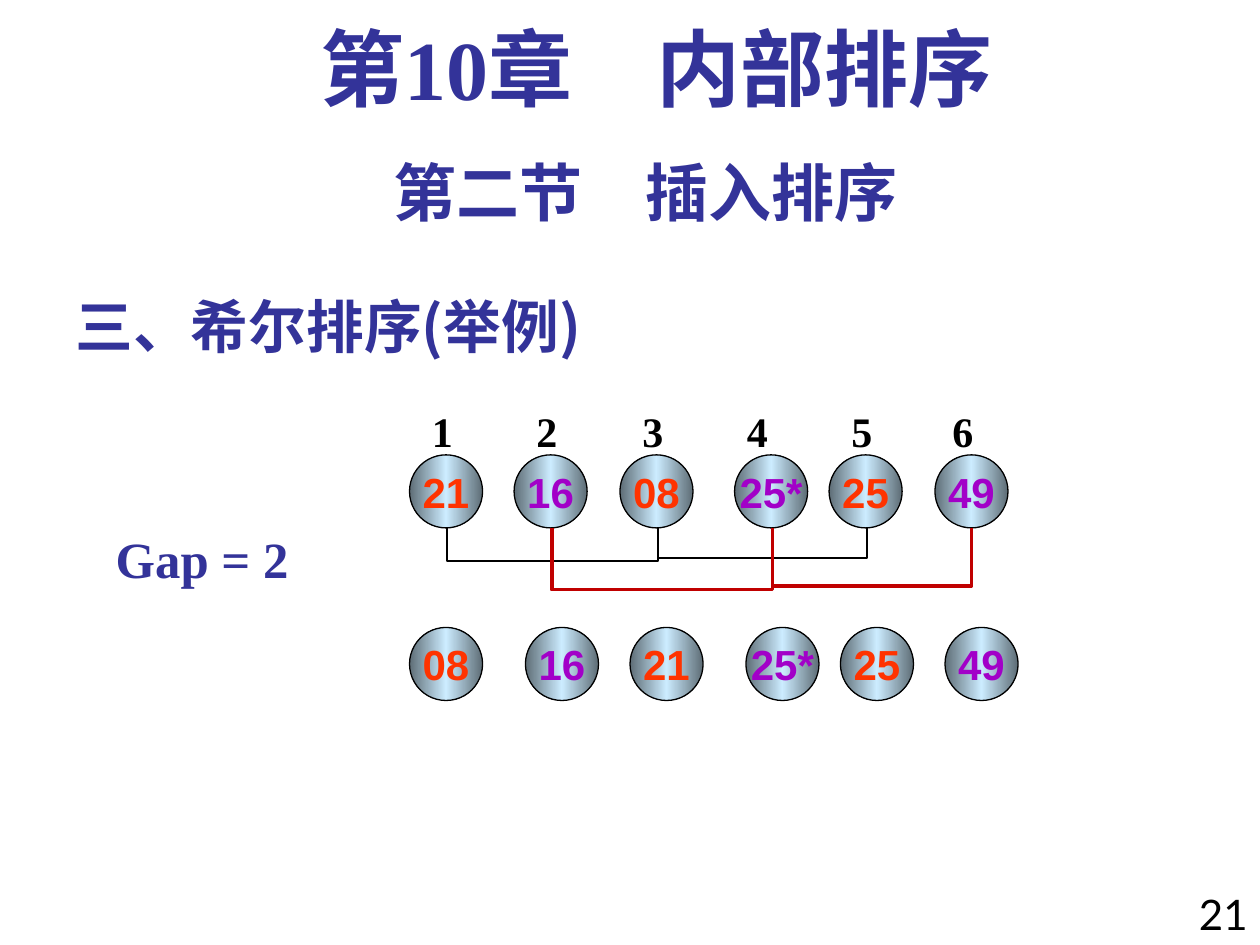
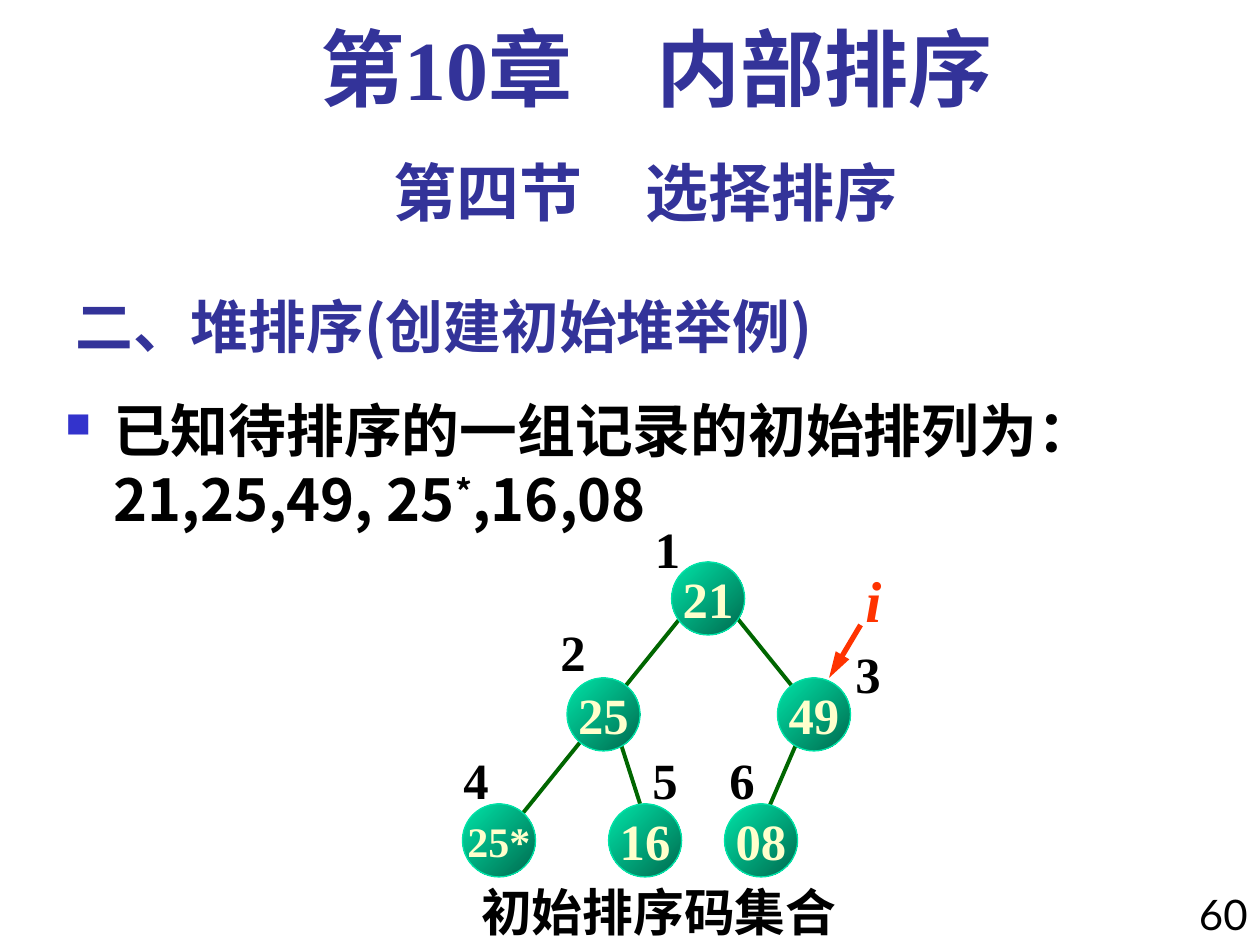
from copy import deepcopy
from dataclasses import dataclass

from lxml.etree import SubElement
from pptx import Presentation
from pptx.dml.color import RGBColor
from pptx.enum.shapes import MSO_CONNECTOR, MSO_SHAPE
from pptx.enum.text import MSO_ANCHOR, MSO_AUTO_SIZE, PP_ALIGN
from pptx.oxml.ns import qn
from pptx.util import Inches, Pt


@dataclass(frozen=True)
class Theme:
    # Colours
    heading: str = "333399"
    ink: str = "000000"
    bullet: str = "3333CC"
    odd: str = "FF3300"
    even: str = "A200C8"
    bracket: str = "C00000"
    steel: tuple = ("5E6D76", "CCECFF", "5E6D76")
    green: tuple = ("00E4A8", "006A4E")
    node_text: str = "FFFFCC"
    edge: str = "006600"
    # Fonts
    chinese: str = "Noto Sans CJK SC"
    serif: str = "Times New Roman"
    sans: str = "Arial"
    plain: str = "Lato"
    # Type sizes
    chapter: int = 48
    section: int = 36
    topic: int = 33
    label: int = 29
    small: int = 24


THEME = Theme()
DIAMETER = 0.58


@dataclass(frozen=True)
class Box:
    left: float
    top: float
    width: float
    height: float

    def inner(self, x, y, width=0.4, height=DIAMETER):
        return Box(self.left + x, self.top + y, width, height)

    def point(self, x, y):
        return Inches(self.left + x), Inches(self.top + y)

    def frame(self):
        return [Inches(n) for n in (self.left, self.top, self.width, self.height)]


def color(value):
    return RGBColor.from_string(value)


def style_runs(para, size, font, ink, bold=True, italic=False):
    for run in para.runs:
        run.font.size = Pt(size)
        run.font.bold = bold
        run.font.italic = italic
        run.font.color.rgb = color(ink)
        run.font.name = font
        east_asian = SubElement(run.font._element, qn("a:ea"))
        east_asian.set("typeface", THEME.chinese)


def add_text(page, box, text, size, font=THEME.serif, ink=THEME.ink,
             align=PP_ALIGN.LEFT, wrap=True, **look):
    frame = page.shapes.add_textbox(*box.frame()).text_frame
    frame.word_wrap = wrap
    if not wrap:
        frame.auto_size = MSO_AUTO_SIZE.SHAPE_TO_FIT_TEXT
    frame.text = text
    para = frame.paragraphs[0]
    para.alignment = align
    style_runs(para, size, font, ink, **look)
    return frame


def add_ball(page, box, text, stops, angle, outline, size, font, ink):
    ball = page.shapes.add_shape(MSO_SHAPE.OVAL, *box.frame())
    ball.shadow.inherit = False
    ball.fill.gradient()
    ball.fill.gradient_angle = angle
    stop_list = ball._element.spPr.find(qn("a:gradFill")).find(qn("a:gsLst"))
    for _ in stops[2:]:
        stop_list.append(deepcopy(stop_list[0]))
    for index, (stop, value) in enumerate(zip(ball.fill.gradient_stops, stops)):
        stop.color.rgb = color(value)
        stop.position = index / (len(stops) - 1)
    ball.line.color.rgb = color(outline)
    ball.line.width = Pt(0.75)
    frame = ball.text_frame
    frame.word_wrap = False
    frame.vertical_anchor = MSO_ANCHOR.MIDDLE
    frame.text = text
    frame.paragraphs[0].alignment = PP_ALIGN.CENTER
    style_runs(frame.paragraphs[0], size, font, ink)


def add_line(page, start, end, ink, width, arrow=False):
    line = page.shapes.add_connector(MSO_CONNECTOR.STRAIGHT, *start, *end)
    line.line.color.rgb = color(ink)
    line.line.width = Pt(width)
    properties = line._element.spPr
    if arrow:
        tip = SubElement(properties.find(qn("a:ln")), qn("a:tailEnd"))
        for key, value in (("type", "triangle"), ("w", "med"), ("len", "lg")):
            tip.set(key, value)
    SubElement(properties, qn("a:effectLst"))


def add_bracket(page, points, ink, width):
    builder = page.shapes.build_freeform(*points[0])
    builder.add_line_segments(points[1:], close=False)
    bracket = builder.convert_to_shape()
    bracket.shadow.inherit = False
    bracket.fill.background()
    bracket.line.color.rgb = color(ink)
    bracket.line.width = Pt(width)


def add_page(deck, section, topic, number):
    page = deck.slides.add_slide(deck.slide_layouts[6])
    # Chapter, section and topic headings
    chapter = add_text(page, Box(0.67, 0.17, 9.08, 0.83), "第10章　内部排序",
                       THEME.chapter, ink=THEME.heading, align=PP_ALIGN.CENTER)
    chapter.paragraphs[0].line_spacing = 0.9
    add_text(page, Box(0.5, 1.17, 9.25, 0.7), section, THEME.section,
             THEME.plain, THEME.heading, PP_ALIGN.CENTER)
    heading = add_text(page, Box(0.5, 2.17, 6.25, 0.74), topic, THEME.topic,
                       THEME.chinese, THEME.heading)
    heading.vertical_anchor = MSO_ANCHOR.BOTTOM
    # Page number
    add_text(page, Box(9.33, 7, 0.67, 0.58), number, THEME.small,
             THEME.plain, align=PP_ALIGN.RIGHT, bold=False)
    return page


def add_record_row(page, box, records, lefts):
    for index, (record, left) in enumerate(zip(records, lefts)):
        add_ball(page, box.inner(left, 0, DIAMETER), record, THEME.steel, 0,
                 THEME.ink, THEME.small, THEME.sans,
                 THEME.even if index % 2 else THEME.odd)


def add_shell_pass(page, box):
    # Position numbers, spaced with tab stops
    numbers = add_text(page, box.inner(0.08, 0, 4.8, 0.5), "1\t2\t3\t4\t5\t6",
                       THEME.small)
    tabs = SubElement(numbers.paragraphs[0]._p.get_or_add_pPr(), qn("a:tabLst"))
    for stop in (0.83, 1.67, 2.5, 3.33, 4.13):
        tab = SubElement(tabs, qn("a:tab"))
        tab.set("pos", str(Inches(stop)))
        tab.set("algn", "l")
    # Records before and after the pass
    add_record_row(page, box.inner(0, 0.44), ("21", "16", "08", "25*", "25", "49"),
                   (0, 0.83, 1.67, 2.58, 3.33, 4.17))
    add_record_row(page, box.inner(0, 1.81), ("08", "16", "21", "25*", "25", "49"),
                   (0, 0.92, 1.75, 2.67, 3.42, 4.25))
    # Brackets join the records that are compared
    top = 1.02
    for first, middle, last, low, high, ink, width in (
            (0.3, 1.97, 3.63, 1.28, 1.26, THEME.ink, 1),
            (1.13, 2.88, 4.46, 1.51, 1.48, THEME.bracket, 2)):
        for start, end, depth in ((first, middle, low), (middle, last, high)):
            corners = ((start, top), (start, depth), (end, depth), (end, top))
            if start == middle:
                corners = corners[1:]
            add_bracket(page, [box.point(*corner) for corner in corners], ink, width)


def add_record_list(page, box):
    frame = add_text(page, box, "", THEME.topic)
    para = frame.paragraphs[0]
    properties = para._p.get_or_add_pPr()
    properties.set("marL", str(Inches(0.38)))
    properties.set("indent", str(-Inches(0.38)))
    bullet_color = SubElement(properties, qn("a:buClr"))
    SubElement(bullet_color, qn("a:srgbClr")).set("val", THEME.bullet)
    SubElement(properties, qn("a:buSzPct")).set("val", "60000")
    SubElement(properties, qn("a:buChar")).set("char", "■")
    for text in ("已知待排序的一组记录的初始排列为：21,25,49, 25", "*", ",16,08"):
        para.add_run().text = text
    style_runs(para, THEME.topic, THEME.chinese, THEME.ink)
    para.runs[1].font._element.set("baseline", "30000")


def add_heap_tree(page, box):
    # Branches
    for x1, y1, x2, y2 in ((2.83, 1.88, 2.58, 2.46), (1.42, 1.88, 1.58, 2.38),
                           (2.33, 0.88, 3, 1.71), (1.92, 0.88, 0.58, 2.54)):
        add_line(page, box.point(x1, y1), box.point(x2, y2), THEME.edge, 2.25)
    # Nodes, each with its number in level order
    nodes = (
        ("21", (1.83, 0.46), (1.6, 0.06)),
        ("25", (1, 1.38), (0.85, 0.88)),
        ("49", (2.67, 1.38), (3.19, 1.05)),
        ("25*", (0.17, 2.38), (0.08, 1.89)),
        ("16", (1.33, 2.38), (1.58, 1.89)),
        ("08", (2.25, 2.38), (2.19, 1.89)),
    )
    for number, (key, place, number_place) in enumerate(nodes, 1):
        size = THEME.label if len(key) == 2 else THEME.small
        add_ball(page, box.inner(*place, DIAMETER), key, THEME.green, 315,
                 THEME.green[0], size, THEME.serif, THEME.node_text)
        add_text(page, box.inner(*number_place), str(number), THEME.label, wrap=False)
    # Pointer to the current node
    add_line(page, box.point(3.33, 0.96), box.point(3.08, 1.38), THEME.odd, 3, arrow=True)
    add_text(page, box.inner(3.27, 0.43, 0.33, 0.65), "i", THEME.topic,
             ink=THEME.odd, wrap=False, italic=True)
    # Caption
    add_text(page, box.inner(0.22, 2.94, 3.03), "初始排序码集合", THEME.label, wrap=False)


def main():
    deck = Presentation()
    deck.slide_width, deck.slide_height = Inches(10), Inches(7.5)

    # Shell sort
    page = add_page(deck, "第二节　插入排序", "三、希尔排序(举例)", "21")
    add_text(page, Box(0.82, 4.14, 1.58, 0.58), "Gap = 2", THEME.label,
             ink=THEME.heading, wrap=False)
    add_shell_pass(page, Box(3.25, 3.17, 4.9, 2.4))

    # Heap sort
    page = add_page(deck, "第四节　选择排序", "二、堆排序(创建初始堆举例)", "60")
    add_record_list(page, Box(0.42, 3.08, 9.58, 4.42))
    add_heap_tree(page, Box(3.5, 4, 3.6, 3.5))

    deck.save("out.pptx")


if __name__ == "__main__":
    main()
